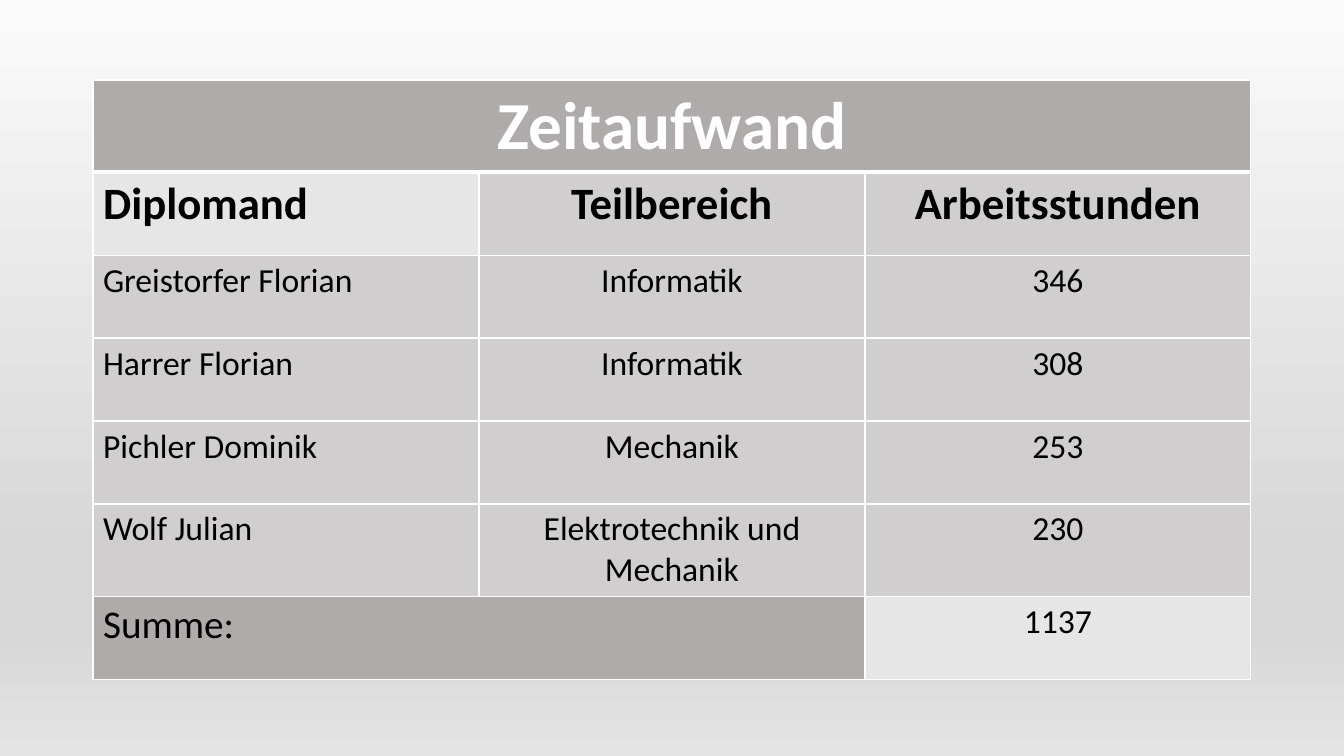
"""Build the slide with the table of working hours per student."""
from dataclasses import dataclass

from lxml.etree import SubElement
from pptx import Presentation
from pptx.dml.color import RGBColor
from pptx.enum.text import PP_ALIGN
from pptx.oxml.ns import qn
from pptx.slide import Slide
from pptx.table import Table, _Cell
from pptx.util import Emu, Pt

EMU_PER_PIXEL = 914400 / 100.8
COLORS = {
    "band": "AFABAB",
    "body": "D0CECE",
    "accent": "E7E6E6",
    "white": "FFFFFF",
    "black": "000000",
}
BACKGROUND_STOPS = {0: "FAFAFA", 74: "D7D7D7", 83: "D7D7D7", 100: "E4E4E4"}
COLUMN_WIDTH = 386
ROW_HEIGHTS = [83, 83, 83, 83, 83, 89, 83]


@dataclass(frozen=True)
class Entry:
    """Content and look of one table cell."""
    text: str
    fill: str = "body"
    size: int = 24
    bold: bool = False
    color: str = "black"
    span: int = 1


def student_row(name: str, area: str, hours: int) -> list[Entry]:
    """Return the entries for one student."""
    return [Entry(name), Entry(area), Entry(str(hours))]


ROWS = [
    [Entry("Zeitaufwand", "band", 48, True, "white", span=3)],
    [
        Entry("Diplomand", "accent", 32, True),
        Entry("Teilbereich", size=32, bold=True),
        Entry("Arbeitsstunden", size=32, bold=True),
    ],
    student_row("Greistorfer Florian", "Informatik", 346),
    student_row("Harrer Florian", "Informatik", 308),
    student_row("Pichler Dominik", "Mechanik", 253),
    student_row("Wolf Julian", "Elektrotechnik und Mechanik", 230),
    [Entry("Summe:", "band", 28, span=2), Entry("1137", "accent")],
]


def pixels(length: int) -> Emu:
    """Convert pixels to EMU."""
    return Emu(round(length * EMU_PER_PIXEL))


def paint_background(slide: Slide) -> None:
    """Fill the background with a vertical grey gradient."""
    fill = slide.background.fill
    fill.gradient()
    fill.gradient_angle = 270
    stops = slide.element.find(".//" + qn("a:gsLst"))
    for stop in list(stops):
        stops.remove(stop)
    for position, color in BACKGROUND_STOPS.items():
        stop = SubElement(stops, qn("a:gs"), pos=str(position * 1000))
        SubElement(stop, qn("a:srgbClr"), val=color)


def draw_borders(cell: _Cell, row: int) -> None:
    """Give a cell white borders, with a thick line below the title."""
    properties = cell._tc.get_or_add_tcPr()
    widths = {"lnL": 1, "lnR": 1, "lnT": 3 if row == 1 else 1, "lnB": 3 if row == 0 else 1}
    for side, width in widths.items():
        line = SubElement(properties, qn(f"a:{side}"), w=str(Pt(width)))
        fill = SubElement(line, qn("a:solidFill"))
        SubElement(fill, qn("a:srgbClr"), val=COLORS["white"])


def write_entry(cell: _Cell, entry: Entry, alignment: PP_ALIGN) -> None:
    """Write the text of an entry into its cell."""
    cell.text = entry.text
    paragraph = cell.text_frame.paragraphs[0]
    paragraph.alignment = alignment
    font = paragraph.font
    font.name = "Calibri"
    font.size = Pt(entry.size)
    font.bold = entry.bold
    font.color.rgb = RGBColor.from_string(COLORS[entry.color])


def fill_row(table: Table, row: int, entries: list[Entry]) -> None:
    """Place the entries of one row, merging cells where they span."""
    column = 0
    for entry in entries:
        last = column + entry.span - 1
        for index in range(column, last + 1):
            cell = table.cell(row, index)
            draw_borders(cell, row)
            cell.fill.solid()
            cell.fill.fore_color.rgb = RGBColor.from_string(COLORS[entry.fill])
        cell = table.cell(row, column)
        if entry.span > 1:
            cell.merge(table.cell(row, last))
        left_aligned = column == 0 and row > 0
        write_entry(cell, entry, PP_ALIGN.LEFT if left_aligned else PP_ALIGN.CENTER)
        column = last + 1


def add_hours_table(slide: Slide) -> None:
    """Add the table of working hours."""
    frame = slide.shapes.add_table(
        len(ROWS), 3, pixels(93), pixels(80), pixels(3 * COLUMN_WIDTH), pixels(sum(ROW_HEIGHTS))
    )
    table = frame.table
    for column in table.columns:
        column.width = pixels(COLUMN_WIDTH)
    for index, (height, entries) in enumerate(zip(ROW_HEIGHTS, ROWS)):
        table.rows[index].height = pixels(height)
        fill_row(table, index, entries)


def main() -> None:
    """Create and save the presentation."""
    presentation = Presentation()
    presentation.slide_width = pixels(1344)
    presentation.slide_height = pixels(756)
    slide = presentation.slides.add_slide(presentation.slide_layouts[6])
    paint_background(slide)
    add_hours_table(slide)
    presentation.save("out.pptx")


main()
